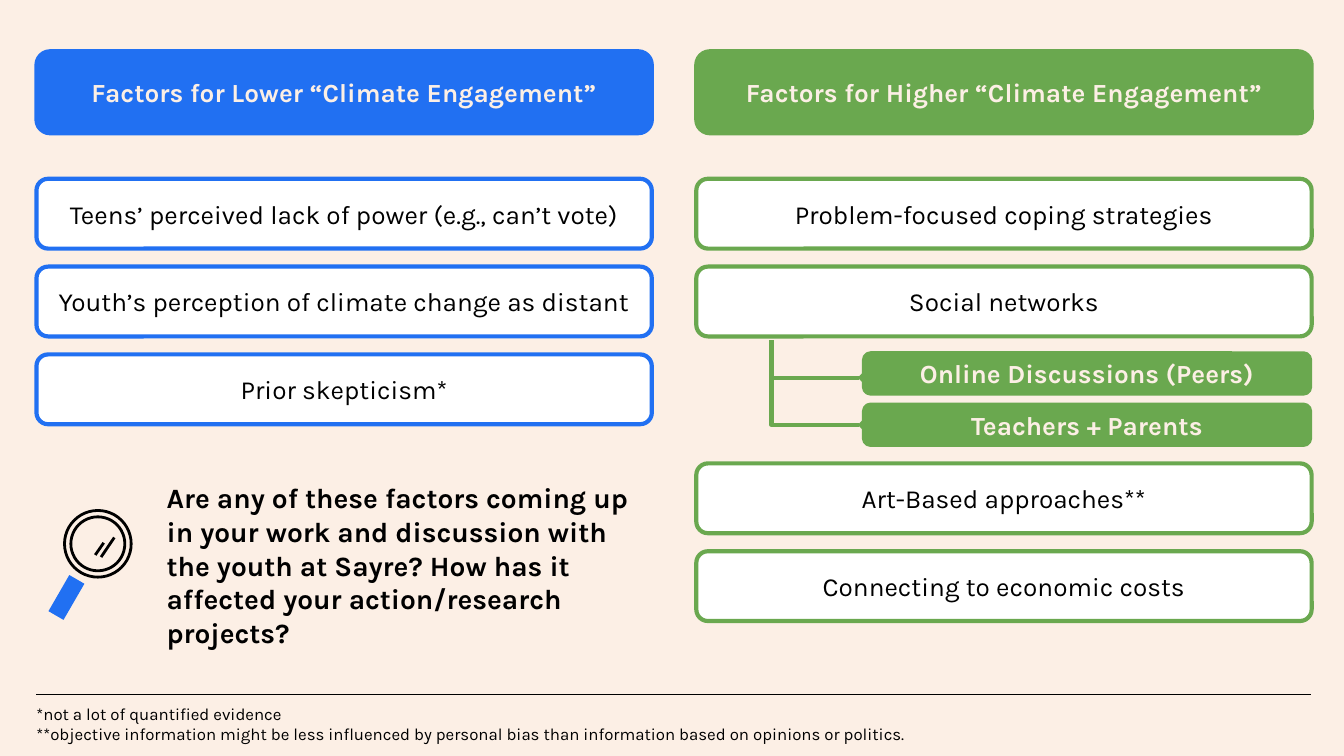
from lxml import etree
from pptx import Presentation
from pptx.dml.color import RGBColor
from pptx.enum.shapes import MSO_CONNECTOR as Connector, MSO_SHAPE as Shape
from pptx.enum.text import MSO_ANCHOR as Anchor, PP_ALIGN as Align
from pptx.oxml.ns import qn
from pptx.util import Cm, Pt

COLORS = {
    "background": "FCEFE5",
    "lower": "2170F2",
    "higher": "6AA84F",
    "white": "FFFFFF",
    "black": "000000",
}
FONT = "Karla"
COLUMN_WIDTH = 11.63
HEADER_HEIGHT = 1.55
FACTOR_TOP = 2.41
FACTOR_HEIGHT = 1.32
FACTOR_PITCH = 1.66


def color(name):
    return RGBColor.from_string(COLORS[name])


def write_text(shape, *lines, size=14, ink="black", bold=False,
               align=Align.CENTER, anchor=Anchor.MIDDLE):
    frame = shape.text_frame
    frame.word_wrap = True
    frame.vertical_anchor = anchor
    frame.margin_left = frame.margin_right = Cm(0.25)
    frame.margin_top = frame.margin_bottom = Cm(0.25)
    for index, line in enumerate(lines):
        paragraph = frame.add_paragraph() if index else frame.paragraphs[0]
        paragraph.alignment = align
        run = paragraph.add_run()
        run.text = line
        run.font.name = FONT
        run.font.size = Pt(size)
        run.font.bold = bold
        run.font.color.rgb = color(ink)


def add_shape(shapes, kind, left, top, width, height, fill=None, line=None, weight=2.25):
    shape = shapes.add_shape(kind, Cm(left), Cm(top), Cm(width), Cm(height))
    shape.shadow.inherit = False
    if fill:
        shape.fill.solid()
        shape.fill.fore_color.rgb = color(fill)
    else:
        shape.fill.background()
    if line:
        shape.line.color.rgb = color(line)
        shape.line.width = Pt(weight)
    else:
        shape.line.fill.background()
    return shape


def add_box(shapes, text, left, top, width, height, accent, filled=False):
    box = add_shape(shapes, Shape.ROUNDED_RECTANGLE, left, top, width, height,
                    accent if filled else "white", accent)
    write_text(box, text, ink="background" if filled else "black", bold=filled)


def add_text(shapes, left, top, width, height, *lines, **style):
    box = shapes.add_textbox(Cm(left), Cm(top), Cm(width), Cm(height))
    write_text(box, *lines, align=Align.LEFT, anchor=Anchor.TOP, **style)


def add_line(shapes, start, end, ink="black", weight=1.5, kind=Connector.STRAIGHT):
    connector = shapes.add_connector(kind, *(Cm(value) for value in (*start, *end)))
    connector.line.color.rgb = color(ink)
    connector.line.width = Pt(weight)
    etree.SubElement(connector._element.spPr, qn("a:effectLst"))
    return connector


def add_branch(shapes, start, end, accent):
    branch = add_line(shapes, start, end, accent, 2.25, Connector.ELBOW)
    properties = branch._element.spPr
    guides = properties.find(qn("a:prstGeom")).get_or_add_avLst()
    etree.SubElement(guides, qn("a:gd"), name="adj1", fmla="val 0")
    etree.SubElement(properties.find(qn("a:ln")), qn("a:tailEnd"), type="diamond")


def add_column(shapes, left, top, accent, heading, factors):
    add_box(shapes, heading, left, top, COLUMN_WIDTH, HEADER_HEIGHT, accent, filled=True)
    for offset, factor in factors:
        add_box(shapes, factor, left, top + FACTOR_TOP + offset,
                COLUMN_WIDTH, FACTOR_HEIGHT, accent)


def add_subfactors(shapes, left, top, accent, labels):
    box_left, box_width, box_height, pitch = left + 1.75, 8.43, 0.76, 0.97
    starts = (top - 0.25, top + 0.38)
    ends = (top + 0.46, top + 1.35)
    for index, (label, start, end) in enumerate(zip(labels, starts, ends)):
        add_branch(shapes, (left, start), (box_left, end), accent)
        add_box(shapes, label, box_left, top + index * pitch,
                box_width, box_height, accent, filled=True)


def add_magnifier(shapes, left, top):
    parts = shapes.add_group_shape().shapes
    handle = add_shape(parts, Shape.RECTANGLE, left, top + 1.25, 0.33, 0.79, "lower")
    handle.rotation = 30
    for inset, diameter in ((0, 1.26), (0.12, 1.02)):
        add_shape(parts, Shape.OVAL, left + 0.13 + inset, top + inset,
                  diameter, diameter, line="black", weight=1.5)
    add_line(parts, (left + 0.82, top + 0.88), (left + 1.07, top + 0.51))
    add_line(parts, (left + 0.71, top + 0.84), (left + 0.87, top + 0.61))


def add_question(shapes, left, top):
    add_magnifier(shapes, left, top + 0.81)
    add_text(shapes, left + 1.81, top, 9.4, 2.21,
             "Are any of these factors coming up in your work and discussion with the "
             "youth at Sayre? How has it affected your action/research projects?",
             size=15, bold=True)


def add_footnotes(shapes, left, top, width):
    add_line(shapes, (left, top), (left + width, top), weight=0.75)
    add_text(shapes, left - 0.25, top - 0.08, 20.55, 1.32,
             "*not a lot of quantified evidence",
             "**objective information might be less influenced by personal bias than "
             "information based on opinions or politics.", size=9)


def main():
    presentation = Presentation()
    presentation.slide_width = Cm(25.4)
    presentation.slide_height = Cm(14.29)
    slide = presentation.slides.add_slide(presentation.slide_layouts[6])
    slide.background.fill.solid()
    slide.background.fill.fore_color.rgb = color("background")
    shapes = slide.shapes

    add_column(shapes, 0.69, 0.97, "lower", "Factors for Lower “Climate Engagement”", [
        (0, "Teens’ perceived lack of power (e.g., can’t vote)"),
        (FACTOR_PITCH, "Youth’s perception of climate change as distant"),
        (2 * FACTOR_PITCH, "Prior skepticism*"),
    ])
    lower_block = 5.38
    add_column(shapes, 13.16, 0.97, "higher", "Factors for Higher “Climate Engagement”", [
        (0, "Problem-focused coping strategies"),
        (FACTOR_PITCH, "Social networks"),
        (lower_block, "Art-Based approaches**"),
        (lower_block + FACTOR_PITCH, "Connecting to economic costs"),
    ])
    add_subfactors(shapes, 14.58, 6.68, "higher",
                   ["Online Discussions (Peers)", "Teachers + Parents"])
    add_question(shapes, 1.09, 8.84)
    add_footnotes(shapes, 0.69, 13.13, 24.08)
    presentation.save("out.pptx")


if __name__ == "__main__":
    main()
